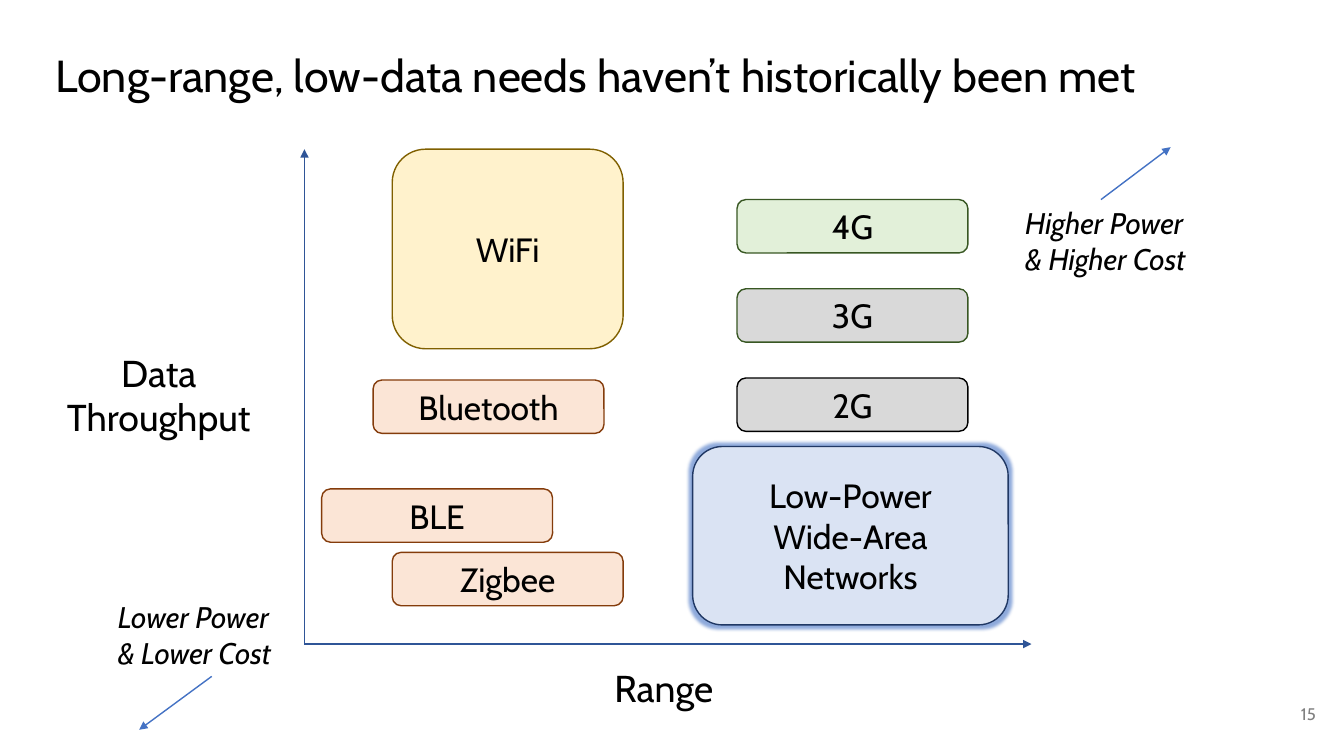
from lxml import etree
from pptx import Presentation
from pptx.dml.color import RGBColor
from pptx.enum.shapes import MSO_CONNECTOR, MSO_SHAPE
from pptx.enum.text import MSO_ANCHOR, PP_ALIGN
from pptx.oxml.ns import qn
from pptx.util import Inches, Pt

BLACK = RGBColor(0x00, 0x00, 0x00)
GRAY_TEXT = RGBColor(0x80, 0x80, 0x80)
AXIS_BLUE = RGBColor(0x2F, 0x55, 0x97)
ARROW_BLUE = RGBColor(0x44, 0x72, 0xC4)
ORANGE_FILL = RGBColor(0xFB, 0xE5, 0xD6)
ORANGE_LINE = RGBColor(0x84, 0x3C, 0x0B)
YELLOW_FILL = RGBColor(0xFF, 0xF2, 0xCC)
YELLOW_LINE = RGBColor(0x80, 0x60, 0x00)
GREEN_FILL = RGBColor(0xE2, 0xF0, 0xD9)
GREEN_LINE = RGBColor(0x38, 0x57, 0x23)
GRAY_FILL = RGBColor(0xD9, 0xD9, 0xD9)
BLUE_FILL = RGBColor(0xDA, 0xE3, 0xF3)
BLUE_LINE = RGBColor(0x20, 0x38, 0x64)

deck = Presentation()
deck.slide_width = Inches(13.33)
deck.slide_height = Inches(7.5)
page = deck.slides.add_slide(deck.slide_layouts[6])


def write(box, text, size=24, color=BLACK, italic=False, align=PP_ALIGN.CENTER,
          anchor=MSO_ANCHOR.MIDDLE, inset=0.05, spacing=None):
    """Fill a shape with text: a newline starts a paragraph, a vertical tab a line."""
    frame = box.text_frame
    frame.word_wrap = True
    frame.vertical_anchor = anchor
    frame.margin_left = frame.margin_right = Inches(0.1)
    frame.margin_top = frame.margin_bottom = Inches(inset)
    frame.text = text
    for para in frame.paragraphs:
        para.alignment = align
        para.line_spacing = spacing
        for span in para.runs:
            span.font.name = "Cabin"
            span.font.size = Pt(size)
            span.font.italic = italic
            span.font.color.rgb = color


def add_arrow(start, end, color):
    arrow = page.shapes.add_connector(
        MSO_CONNECTOR.STRAIGHT, *[Inches(value) for value in start + end])
    arrow.line.color.rgb = color
    arrow.line.width = Pt(1)
    etree.SubElement(arrow.line._get_or_add_ln(), qn("a:tailEnd"), type="triangle")
    etree.SubElement(arrow._element.spPr, qn("a:effectLst"))


# Title, axis names, cost notes and page number
top_left = dict(align=PP_ALIGN.LEFT, anchor=MSO_ANCHOR.TOP)
note = dict(size=21.3, italic=True, **top_left)
axis_name = dict(size=26.7, anchor=MSO_ANCHOR.TOP)
labels = [
    ("Long-range, low-data needs haven’t historically been met",
     (0.45, 0.43, 12.42, 0.84), dict(size=32, inset=0.1, spacing=0.9, **top_left)),
    ("Data\nThroughput", (0.45, 3.42, 2.25, 1), axis_name),
    ("Range", (5.58, 6.55, 2.01, 0.55), axis_name),
    ("Lower Power\v& Lower Cost", (1.07, 5.89, 2.03, 0.82), note),
    ("Higher Power\v& Higher Cost", (10.07, 1.98, 2.16, 0.82), note),
    ("15", (12.35, 6.8, 0.8, 0.57),
     dict(size=12, color=GRAY_TEXT, align=PP_ALIGN.RIGHT, inset=0.1)),
]
for text, place, style in labels:
    box = page.shapes.add_textbox(*[Inches(value) for value in place])
    write(box, text, **style)

# Axes and the two cost directions
origin = (3.02, 6.39)
add_arrow(origin, (3.02, 1.48), AXIS_BLUE)
add_arrow(origin, (10.23, 6.39), AXIS_BLUE)
add_arrow((2.1, 6.71), (1.38, 7.24), ARROW_BLUE)
add_arrow((10.92, 1.98), (11.61, 1.46), ARROW_BLUE)

# Wireless technologies
WIDTH, HEIGHT = 2.29, 0.53
technologies = [
    ("WiFi", 3.89, 1.48, WIDTH, 1.98, YELLOW_FILL, YELLOW_LINE),
    ("Bluetooth", 3.7, 3.77, WIDTH, HEIGHT, ORANGE_FILL, ORANGE_LINE),
    ("BLE", 3.19, 4.85, WIDTH, HEIGHT, ORANGE_FILL, ORANGE_LINE),
    ("Zigbee", 3.89, 5.48, WIDTH, HEIGHT, ORANGE_FILL, ORANGE_LINE),
    ("Low-Power\vWide-Area Networks", 6.87, 4.43, 3.13, 1.77, BLUE_FILL, BLUE_LINE),
]
cellular = [("4G", GREEN_FILL, GREEN_LINE), ("3G", GRAY_FILL, GREEN_LINE),
            ("2G", GRAY_FILL, BLACK)]
for row, (name, fill, line) in enumerate(cellular):
    technologies.append((name, 7.31, 1.98 + 0.885 * row, WIDTH, HEIGHT, fill, line))

for name, left, top, width, height, fill, line in technologies:
    box = page.shapes.add_shape(MSO_SHAPE.ROUNDED_RECTANGLE, Inches(left), Inches(top),
                                Inches(width), Inches(height))
    box.shadow.inherit = False
    box.fill.solid()
    box.fill.fore_color.rgb = fill
    box.line.color.rgb = line
    box.line.width = Pt(1)
    write(box, name)
    if fill == BLUE_FILL:
        effects = box._element.spPr.find(qn("a:effectLst"))
        glow = etree.SubElement(effects, qn("a:glow"), rad=str(Pt(5)))
        tint = etree.SubElement(glow, qn("a:srgbClr"), val=str(ARROW_BLUE))
        etree.SubElement(tint, qn("a:alpha"), val="60000")

deck.save("out.pptx")
